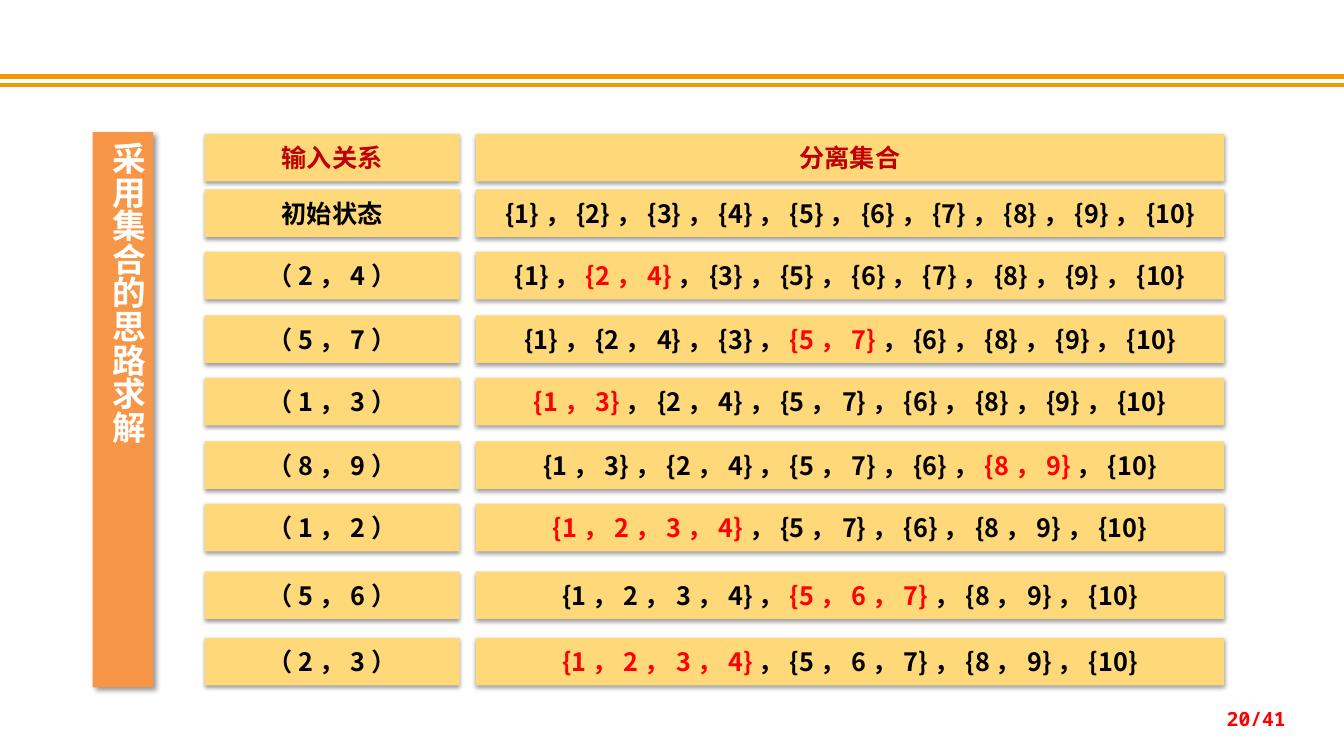
from lxml import etree
from pptx import Presentation
from pptx import util as u
from pptx.dml.color import RGBColor
from pptx.enum import shapes, text
from pptx.oxml import ns

COLORS = {
    "rule": "F19903", "banner": "F79646", "cell": "FFD979", "white": "FFFFFF",
    "header": "C00000", "accent": "FF0000", "black": "000000",
}
COLUMNS = [(2.03, 2.53), (4.72, 7.42)]
ROW_HEIGHT = 0.47
ROWS = [
    (1.33, "输入关系", "分离集合"),
    (1.88, "初始状态", "{1}，{2}，{3}，{4}，{5}，{6}，{7}，{8}，{9}，{10}"),
    (2.5, "（2，4）", "{1}，|{2，4}|，{3}，{5}，{6}，{7}，{8}，{9}，{10}"),
    (3.13, "（5，7）", "{1}，{2，4}，{3}，|{5，7}|，{6}，{8}，{9}，{10}"),
    (3.75, "（1，3）", "|{1，3}|，{2，4}，{5，7}，{6}，{8}，{9}，{10}"),
    (4.38, "（8，9）", "{1，3}，{2，4}，{5，7}，{6}，|{8，9}|，{10}"),
    (5, "（1，2）", "|{1，2，3，4}|，{5，7}，{6}，{8，9}，{10}"),
    (5.67, "（5，6）", "{1，2，3，4}，|{5，6，7}|，{8，9}，{10}"),
    (6.33, "（2，3）", "|{1，2，3，4}|，{5，6，7}，{8，9}，{10}"),
]


class SlideBuilder:
    font = "Noto Sans CJK SC"
    mono = "Noto Sans Mono"

    def __init__(self, page):
        self.page = page

    def color(self, name):
        return RGBColor.from_string(COLORS[name])

    def rule(self, top):
        line = self.page.shapes.add_connector(
            shapes.MSO_CONNECTOR.STRAIGHT, 0, u.Inches(top), u.Inches(13.33), u.Inches(top))
        line.line.color.rgb = self.color("rule")
        line.line.width = u.Pt(3)
        etree.SubElement(line._element.spPr, ns.qn("a:effectLst"))

    def shadow(self, shape, alpha, blur, distance, angle):
        shape.shadow.inherit = False
        effects = shape._element.spPr.find(ns.qn("a:effectLst"))
        outer = etree.SubElement(
            effects, ns.qn("a:outerShdw"), blurRad=str(u.Pt(blur)), dist=str(u.Pt(distance)),
            dir=str(angle * 60000), algn="ctr", rotWithShape="0")
        tint = etree.SubElement(outer, ns.qn("a:srgbClr"), val=COLORS["black"])
        etree.SubElement(tint, ns.qn("a:alpha"), val=str(alpha * 1000))

    def label(self, shape, content, size, color, font, align=text.PP_ALIGN.CENTER):
        frame = shape.text_frame
        frame.word_wrap = True
        frame.vertical_anchor = text.MSO_ANCHOR.MIDDLE
        para = frame.paragraphs[0]
        para.alignment = align
        para.font.size = u.Pt(size)
        para.font.bold = True
        para.font.name = font
        para.font.color.rgb = self.color(color)
        etree.SubElement(para.font._element, ns.qn("a:ea"), typeface=font)
        for index, part in enumerate(content.split("|")):
            if part:
                span = para.add_run()
                span.text = part
                if index % 2:
                    span.font.color.rgb = self.color("accent")

    def panel(self, left, top, width, height, fill, content, size, color, shadow):
        box = self.page.shapes.add_shape(
            shapes.MSO_SHAPE.RECTANGLE, *map(u.Inches, (left, top, width, height)))
        box.fill.solid()
        box.fill.fore_color.rgb = self.color(fill)
        box.line.fill.background()
        self.shadow(box, *shadow)
        self.label(box, content, size, color, self.font)
        return box

    def banner(self, left, top, width, height, content):
        box = self.panel(left, top, width, height, "banner", content, 24, "white", (40, 4, 3, 45))
        frame = box.text_frame
        frame.vertical_anchor = text.MSO_ANCHOR.TOP
        frame.auto_size = text.MSO_AUTO_SIZE.SHAPE_TO_FIT_TEXT
        frame._txBody.bodyPr.set("vert", "eaVert")

    def cell(self, left, top, width, content, color):
        self.panel(left, top, width, ROW_HEIGHT, "cell", content, 18, color, (38, 3.1, 1.6, 90))

    def page_number(self, left, top, width, height, content):
        box = self.page.shapes.add_textbox(*map(u.Inches, (left, top, width, height)))
        self.label(box, content, 14, "accent", self.mono, text.PP_ALIGN.RIGHT)


def main():
    deck = Presentation()
    deck.slide_width, deck.slide_height = u.Inches(13.33), u.Inches(7.5)
    builder = SlideBuilder(deck.slides.add_slide(deck.slide_layouts[6]))
    for top in (0.76, 0.84):
        builder.rule(top)
    builder.page_number(9.74, 6.93, 3.11, 0.4, "20/41")
    builder.banner(0.92, 1.31, 0.6, 5.51, "采用集合的思路求解")
    for index, (top, *contents) in enumerate(ROWS):
        for (left, width), content in zip(COLUMNS, contents):
            builder.cell(left, top, width, content, "black" if index else "header")
    deck.save("out.pptx")


if __name__ == "__main__":
    main()
